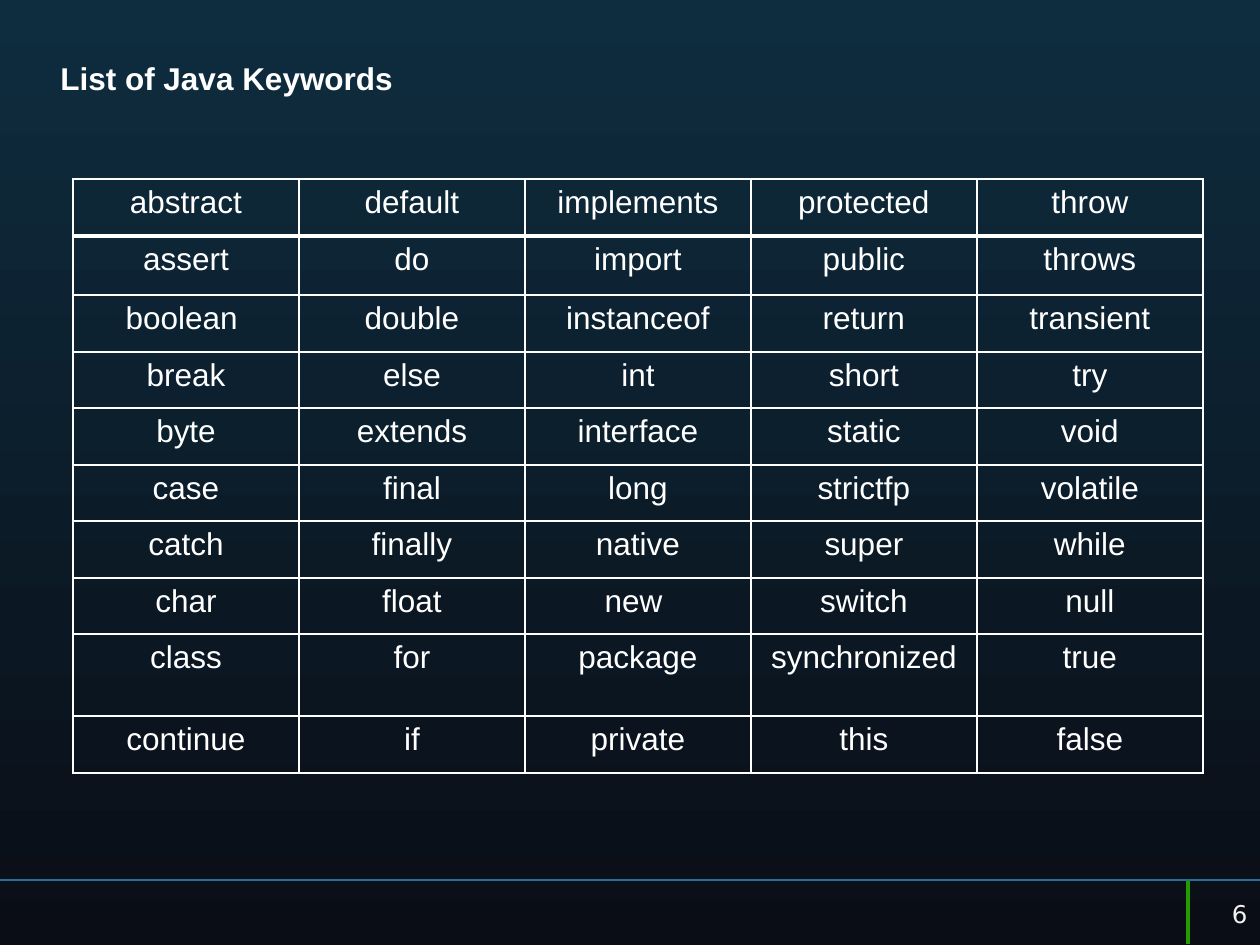
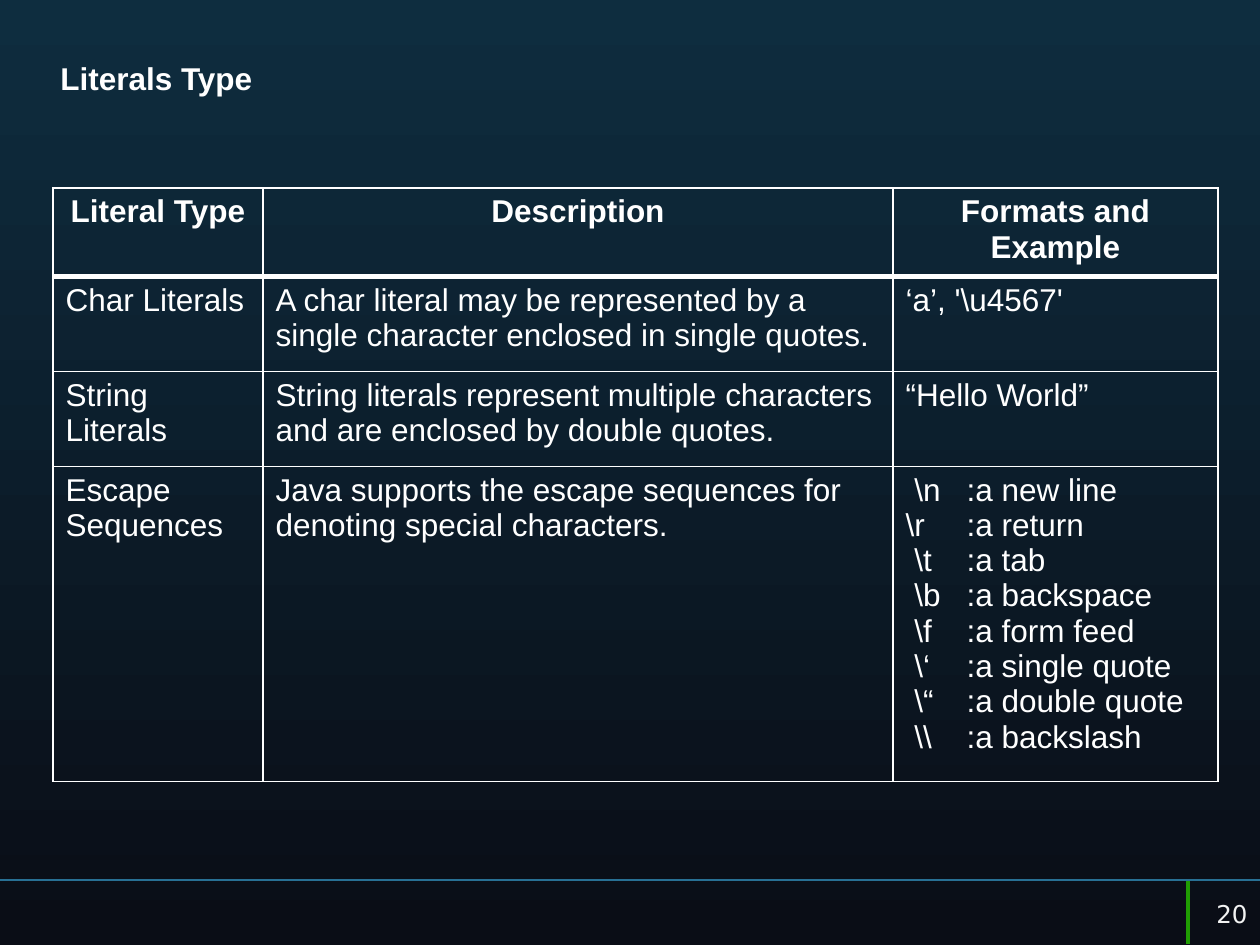
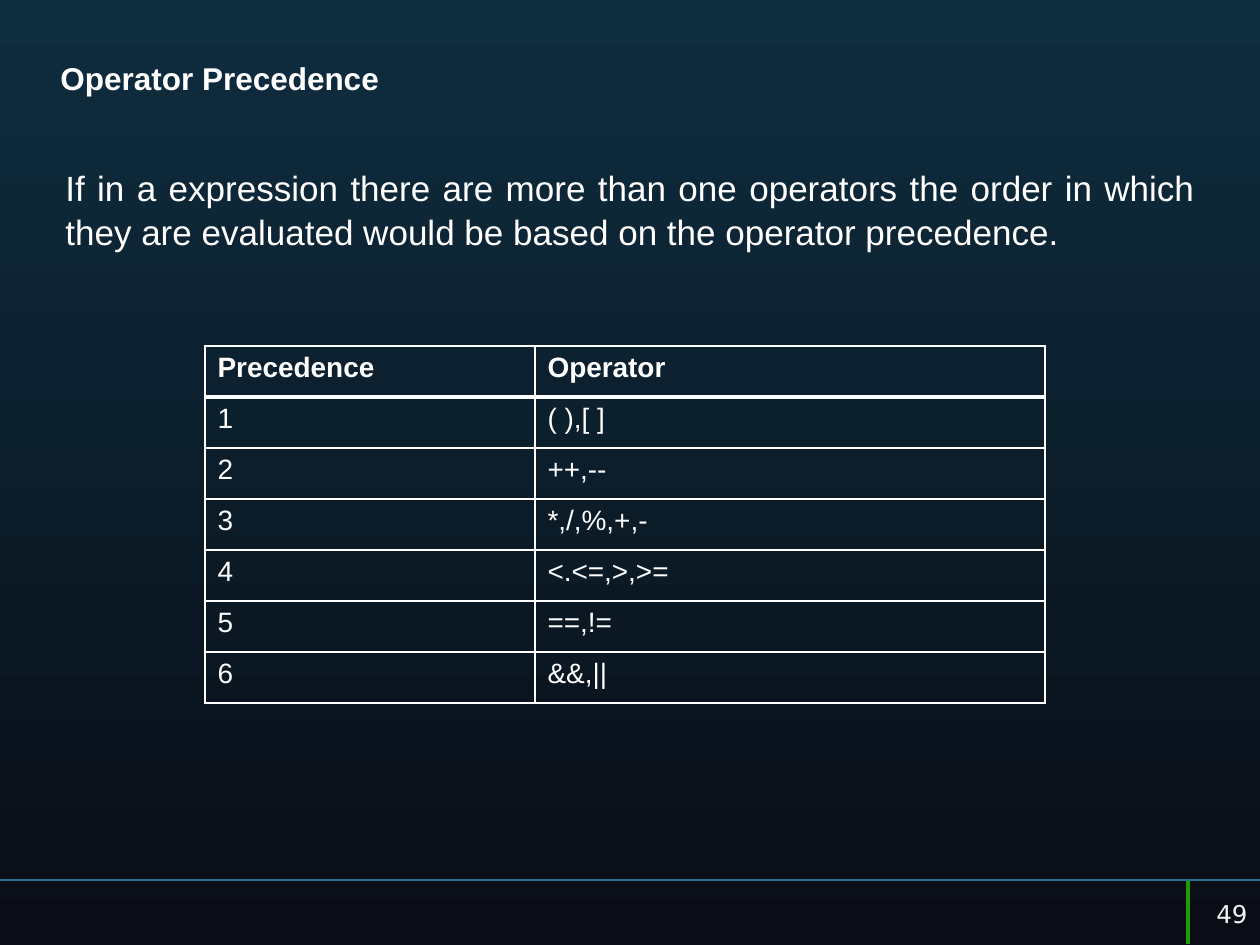
from lxml import etree
from pptx import Presentation
from pptx import util as u
from pptx.dml import color
from pptx.enum import shapes, text
from pptx.oxml import ns

PX_PER_INCH = 126
WHITE = "FFFFFF"
LEFT = text.PP_ALIGN.LEFT
CENTER = text.PP_ALIGN.CENTER
RIGHT = text.PP_ALIGN.RIGHT
JUSTIFY = text.PP_ALIGN.JUSTIFY


def px(length):
    return u.Emu(round(length * 914400 / PX_PER_INCH))


def rgb(value):
    return color.RGBColor.from_string(value)


class Lecture:
    font = "Arial"
    number_font = "DejaVu Sans"

    def __init__(self):
        self.deck = Presentation()
        self.deck.slide_width = px(1260)
        self.deck.slide_height = px(945)
        fill = self.deck.slide_master.background.fill
        fill.gradient()
        fill.gradient_angle = 270
        for stop, value in zip(fill.gradient_stops, ("0E2D3F", "0A0D16")):
            stop.color.rgb = rgb(value)

    def page(self, title, number):
        self.slide = self.deck.slides.add_slide(self.deck.slide_layouts[6])
        self.line(1260, 880, 0, 880, "287094", 0.75)
        self.line(1188, 881, 1188, 944, "209D03", 2)
        self.text(title, 48, 49, 1157, 83, 18, bold=True, inset=10)
        self.text(str(number), 1187, 882, 73, 63, 14, align=RIGHT, ink="F2F2F2",
                  font=self.number_font, anchor=text.MSO_ANCHOR.MIDDLE)

    def line(self, x1, y1, x2, y2, ink, width):
        line = self.slide.shapes.add_connector(
            shapes.MSO_CONNECTOR.STRAIGHT, px(x1), px(y1), px(x2), px(y2))
        line.line.color.rgb = rgb(ink)
        line.line.width = u.Pt(width)
        etree.SubElement(line._element.spPr, ns.qn("a:effectLst"))

    def set_words(self, frame, words, size, align=LEFT, bold=False, ink=WHITE,
                  font=None, spacing=None, tab=None):
        for index, words_line in enumerate(words.split("\n")):
            para = frame.add_paragraph() if index else frame.paragraphs[0]
            para.alignment = align
            if spacing:
                para.line_spacing = spacing
            if tab and "\t" in words_line:
                stops = etree.SubElement(para._p.get_or_add_pPr(), ns.qn("a:tabLst"))
                etree.SubElement(stops, ns.qn("a:tab"), pos=str(px(tab)), algn="l")
            para.font.name = font or self.font
            para.font.size = u.Pt(size)
            para.font.bold = bold
            span = para.add_run()
            span.text = words_line
            span.font.color.rgb = rgb(ink)

    def text(self, words, left, top, width, height, size, inset=6,
             anchor=text.MSO_ANCHOR.TOP, **style):
        box = self.slide.shapes.add_textbox(px(left), px(top), px(width), px(height))
        frame = box.text_frame
        frame.word_wrap = True
        frame.vertical_anchor = anchor
        frame.margin_top = px(inset)
        self.set_words(frame, words, size, **style)

    def border(self, cell, row):
        widths = {"lnL": 1, "lnR": 1, "lnT": 3 if row == 1 else 1,
                  "lnB": 3 if row == 0 else 1}
        properties = cell._tc.get_or_add_tcPr()
        for index, (side, width) in enumerate(widths.items()):
            edge = etree.Element(ns.qn(f"a:{side}"), w=str(u.Pt(width)))
            fill = etree.SubElement(edge, ns.qn("a:solidFill"))
            etree.SubElement(fill, ns.qn("a:srgbClr"), val=WHITE)
            properties.insert(index, edge)

    def table(self, rows, left, top, widths, heights, size,
              header_align=LEFT, align=LEFT, header_bold=True, tab=None):
        table = self.slide.shapes.add_table(
            len(rows), len(widths), px(left), px(top),
            px(sum(widths)), px(sum(heights))).table
        table.first_row = table.horz_banding = False
        for column, width in zip(table.columns, widths):
            column.width = px(width)
        for row, height in zip(table.rows, heights):
            row.height = px(height)
        for row, entries in enumerate(rows):
            for column, words in enumerate(entries):
                cell = table.cell(row, column)
                cell.fill.background()
                self.border(cell, row)
                self.set_words(cell.text_frame, words, size, tab=tab,
                               align=align if row else header_align,
                               bold=header_bold and row == 0)


KEYWORDS = [
    ("abstract", "default", "implements", "protected", "throw"),
    ("assert", "do", "import", "public", "throws"),
    ("boolean ", "double", "instanceof", "return", "transient"),
    ("break", "else", "int", "short", "try"),
    ("byte", "extends", "interface", "static", "void"),
    ("case", "final", "long", "strictfp", "volatile"),
    ("catch", "finally", "native", "super", "while"),
    ("char", "float", "new ", "switch", "null"),
    ("class", "for", "package", "synchronized", "true"),
    ("continue", "if", "private", "this", "false"),
]

ESCAPES = [
    (r" \n", "a new line"),
    (r"\r", "a return"),
    (r" \t", "a tab"),
    (r" \b", "a backspace"),
    (r" \f", "a form feed"),
    (r" \‘", "a single quote"),
    (r" \“", "a double quote"),
    (r" \\", "a backslash"),
]

LITERALS = [
    ("Literal Type", "Description", "Formats and Example"),
    ("Char Literals",
     "A char literal may be represented by a single character enclosed in single quotes.",
     r"‘a’, '\u4567'"),
    ("String Literals",
     "String literals represent multiple characters and are enclosed by double quotes.",
     "“Hello World”"),
    ("Escape Sequences",
     "Java supports the escape sequences for denoting special characters.",
     "\n".join(f"{code}\t:{meaning}" for code, meaning in ESCAPES)),
]

OPERATORS = ["( ),[ ]", "++,--", "*,/,%,+,-", "<.<=,>,>=", "==,!=", "&&,||"]
PRECEDENCE = [("Precedence", "Operator")]
PRECEDENCE += [(str(rank), signs) for rank, signs in enumerate(OPERATORS, 1)]


def main():
    lecture = Lecture()

    lecture.page("List of Java Keywords", 6)
    lecture.table(KEYWORDS, 73, 179, [226] * 5, [57, 59] + [57, 56] * 3 + [82, 57], 18,
                  header_align=CENTER, align=CENTER, header_bold=False)

    lecture.page("Literals Type", 20)
    lecture.table(LITERALS, 53, 188, [210, 630, 325], [83, 95, 95, 294], 18,
                  header_align=CENTER, tab=61)

    lecture.page("Operator Precedence", 49)
    lecture.text("If in a expression there are more than one operators the order in which "
                 "they are evaluated would be based on the operator precedence.",
                 53, 156, 1155, 638, 20, inset=8, align=JUSTIFY, spacing=1.05)
    lecture.table(PRECEDENCE, 205, 346, [330, 510], [51] * len(PRECEDENCE), 16)

    lecture.deck.save("out.pptx")


if __name__ == "__main__":
    main()
